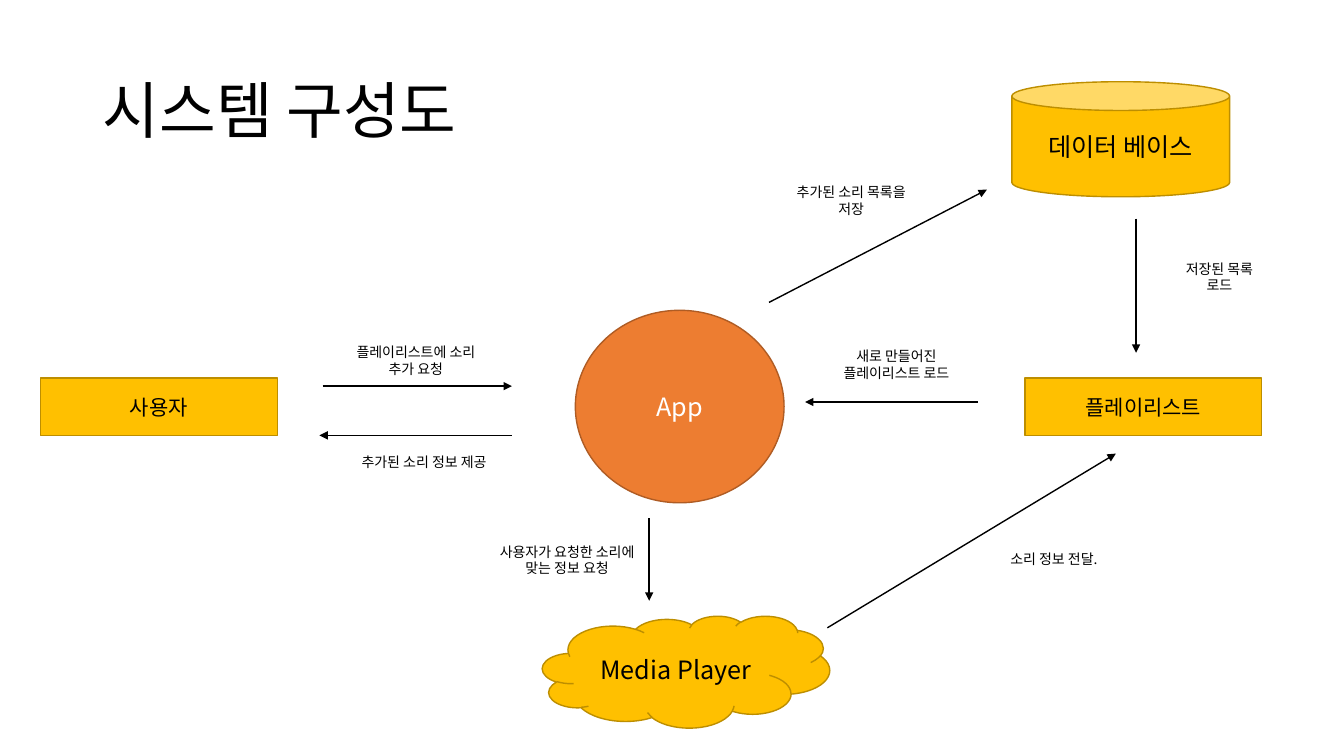
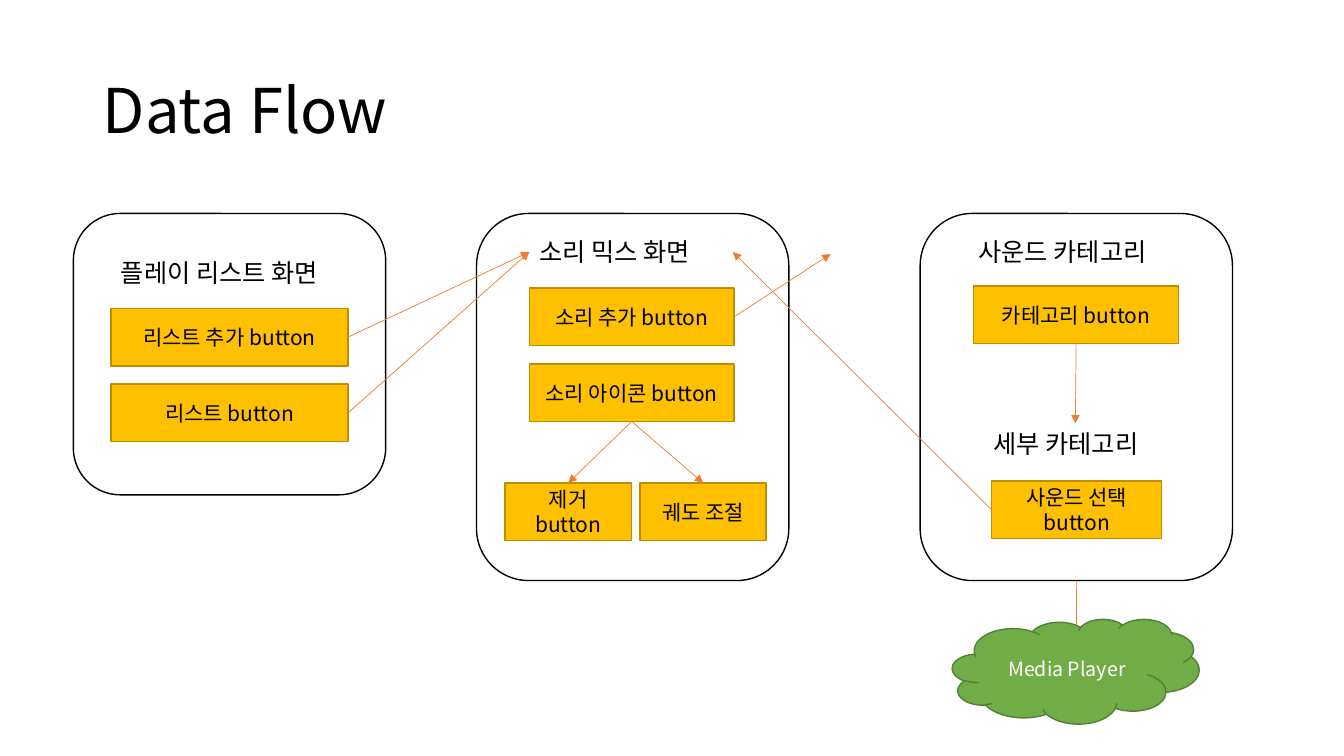
from dataclasses import dataclass
from typing import NamedTuple, Optional, Union

from lxml.etree import SubElement
from pptx import Presentation
from pptx.dml.color import RGBColor
from pptx.enum.shapes import MSO_CONNECTOR as Connector, MSO_SHAPE as Preset
from pptx.enum.text import MSO_ANCHOR as Anchor, MSO_AUTO_SIZE as AutoSize, PP_ALIGN as Align
from pptx.oxml.ns import qn
from pptx.util import Cm, Pt

# Shared style
FONT = "Noto Sans CJK KR"
BLACK, WHITE = "000000", "FFFFFF"
GOLD, GOLD_EDGE = "FFC000", "BD8E00"
ORANGE, ORANGE_EDGE = "ED7D31", "AF5C24"
GREEN, GREEN_EDGE = "70AD47", "538035"
TOP, LEFT, BOTTOM, RIGHT = range(4)
BOX_HEIGHT = 1.45
WIDE = 5.97


class Point(NamedTuple):
    x: float
    y: float


class Joint(NamedTuple):
    shape: str
    side: int


@dataclass
class Block:
    text: str
    left: float
    top: float
    width: float
    height: float = BOX_HEIGHT
    preset: Preset = Preset.RECTANGLE
    fill: Optional[str] = GOLD
    edge: str = GOLD_EDGE
    size: int = 15
    color: str = BLACK


@dataclass
class Label:
    text: str
    left: float
    top: float
    width: float
    height: float = 1.12
    size: int = 10
    align: Align = Align.CENTER


@dataclass
class Flow:
    start: Union[Point, Joint]
    end: Union[Point, Joint]
    color: str = BLACK
    weight: float = 1
    arrow: bool = True


def rgb(value: str) -> RGBColor:
    return RGBColor.from_string(value)


def style_text(frame, text: str, size: int, color: str, align: Align) -> None:
    frame.word_wrap = True
    frame.text = text
    for para in frame.paragraphs:
        para.alignment = align
        for span in para.runs:
            span.font.size = Pt(size)
            span.font.color.rgb = rgb(color)
            span.font.name = FONT
            # Hangul uses the East Asian typeface
            SubElement(span._r.get_or_add_rPr(), qn("a:ea"), typeface=FONT)


def add_block(page, block: Block):
    shape = page.shapes.add_shape(block.preset, Cm(block.left), Cm(block.top),
                                  Cm(block.width), Cm(block.height))
    shape.shadow.inherit = False
    if block.fill:
        shape.fill.solid()
        shape.fill.fore_color.rgb = rgb(block.fill)
    else:
        shape.fill.background()
    shape.line.color.rgb = rgb(block.edge)
    shape.line.width = Pt(1)
    if block.text:
        shape.text_frame.vertical_anchor = Anchor.MIDDLE
        style_text(shape.text_frame, block.text, block.size, block.color, Align.CENTER)
    return shape


def add_label(page, label: Label):
    box = page.shapes.add_textbox(Cm(label.left), Cm(label.top),
                                  Cm(label.width), Cm(label.height))
    style_text(box.text_frame, label.text, label.size, BLACK, label.align)
    box.text_frame.auto_size = AutoSize.SHAPE_TO_FIT_TEXT
    return box


def add_flow(page, flow: Flow, shapes: dict) -> None:
    ends = [end if isinstance(end, Point) else Point(0, 0) for end in (flow.start, flow.end)]
    line = page.shapes.add_connector(Connector.STRAIGHT,
                                     *(Cm(value) for end in ends for value in end))
    for end, connect in ((flow.start, line.begin_connect), (flow.end, line.end_connect)):
        if isinstance(end, Joint):
            connect(shapes[end.shape], end.side)
    line.line.color.rgb = rgb(flow.color)
    line.line.width = Pt(flow.weight)
    if flow.arrow:
        SubElement(line.line._get_or_add_ln(), qn("a:tailEnd"), type="triangle")
    SubElement(line._element.spPr, qn("a:effectLst"))


def add_page(deck, title: str):
    page = deck.slides.add_slide(deck.slide_layouts[6])
    box = page.shapes.add_textbox(Cm(2.34), Cm(1.02), Cm(29.21), Cm(3.68))
    box.text_frame.vertical_anchor = Anchor.MIDDLE
    style_text(box.text_frame, title, 44, BLACK, Align.LEFT)
    box.text_frame.paragraphs[0].line_spacing = 0.9
    return page


def build_system(deck) -> None:
    page = add_page(deck, "시스템 구성도")

    # Parts of the system
    for block in (
        Block("사용자", 1.02, 9.53, WIDE),
        Block("App", 14.5, 7.82, 5.26, 4.85, Preset.OVAL, ORANGE, ORANGE_EDGE, 18, WHITE),
        Block("플레이리스트", 25.83, 9.53, WIDE),
        Block("Media Player", 13.67, 15.52, 7.24, 2.82, Preset.CLOUD, size=18),
        Block("데이터 베이스", 25.5, 2.06, 5.49, 2.9, Preset.CAN, size=18),
    ):
        add_block(page, block)

    # Messages between the parts
    for flow in (
        Flow(Point(8.13, 9.73), Point(12.9, 9.73)),
        Flow(Point(12.9, 10.97), Point(8.05, 10.97), weight=0.5),
        Flow(Point(16.36, 13.06), Point(16.36, 15.14)),
        Flow(Point(20.85, 15.82), Point(28.12, 11.43)),
        Flow(Point(24.64, 10.13), Point(20.29, 10.13)),
        Flow(Point(19.38, 7.62), Point(24.87, 4.78)),
        Flow(Point(28.63, 5.51), Point(28.63, 8.89)),
    ):
        add_flow(page, flow, {})

    for label in (
        Label("플레이리스트에 소리\n추가 요청", 8.41, 8.53, 4.14),
        Label("추가된 소리 목록을\n저장", 19.38, 4.5, 4.14),
        Label("저장된 목록\n로드", 29.08, 6.43, 3.3),
        Label("사용자가 요청한 소리에 맞는 정보 요청", 12.22, 13.56, 4.14),
        Label("소리 정보 전달.", 24.49, 13.74, 4.14, 0.69),
        Label("새로 만들어진 플레이리스트 로드", 20.52, 8.64, 4.14),
        Label("추가된 소리 정보 제공", 8.46, 11.3, 4.45, 0.69),
    ):
        add_label(page, label)


def build_data_flow(deck) -> None:
    page = add_page(deck, "Data Flow")
    shapes = {}

    # Screen headings
    for text, left, top, width in (
        ("플레이 리스트 화면", 2.8, 6.35, 6.38),
        ("소리 믹스 화면", 13.34, 5.84, 5.13),
        ("사운드 카테고리", 24.41, 5.82, 5.38),
        ("세부 카테고리", 24.79, 10.67, 4.62),
    ):
        shapes[text] = add_label(page, Label(text, left, top, width, 1.02, 18, Align.LEFT))

    # Buttons
    for text, left, top, width in (
        ("리스트 추가 button", 2.8, 7.77, WIDE),
        ("리스트 button", 2.8, 9.68, WIDE),
        ("소리 추가 button", 13.34, 7.26, 5.16),
        ("소리 아이콘 button", 13.34, 9.17, 5.16),
        ("제거 button", 12.73, 12.17, 3.18),
        ("궤도 조절", 16.13, 12.17, 3.18),
        ("카테고리 button", 24.54, 7.21, 5.16),
        ("사운드 선택 button", 24.99, 12.12, 4.29),
    ):
        shapes[text] = add_block(page, Block(text, left, top, width))

    # Screen frames
    for name, left, height in (("list", 1.85, 7.09), ("mix", 12.01, 9.25), ("sound", 23.19, 9.25)):
        shapes[name] = add_block(page, Block("", left, 5.38, 7.87, height,
                                             Preset.ROUNDED_RECTANGLE, None, BLACK))
    add_block(page, Block("Media Player", 24, 15.6, 6.22, 2.64, Preset.CLOUD,
                          GREEN, GREEN_EDGE, 14, WHITE))

    # Navigation
    mix_entry = Joint("소리 믹스 화면", LEFT)
    icon_exit = Joint("소리 아이콘 button", BOTTOM)
    for start, end in (
        (Joint("리스트 추가 button", RIGHT), mix_entry),
        (Joint("리스트 button", RIGHT), mix_entry),
        (Joint("소리 추가 button", RIGHT), Point(20.93, 6.4)),
        (icon_exit, Joint("제거 button", TOP)),
        (icon_exit, Joint("궤도 조절", TOP)),
        (Joint("카테고리 button", BOTTOM), Joint("세부 카테고리", TOP)),
        (Joint("사운드 선택 button", LEFT), Joint("소리 믹스 화면", RIGHT)),
    ):
        add_flow(page, Flow(start, end, ORANGE, 0.5), shapes)
    add_flow(page, Flow(Joint("sound", BOTTOM), Point(27.13, 15.75), ORANGE, 0.5, False), shapes)


def main() -> None:
    deck = Presentation()
    deck.slide_width, deck.slide_height = Cm(33.87), Cm(19.05)
    build_system(deck)
    build_data_flow(deck)
    deck.save("out.pptx")


if __name__ == "__main__":
    main()
